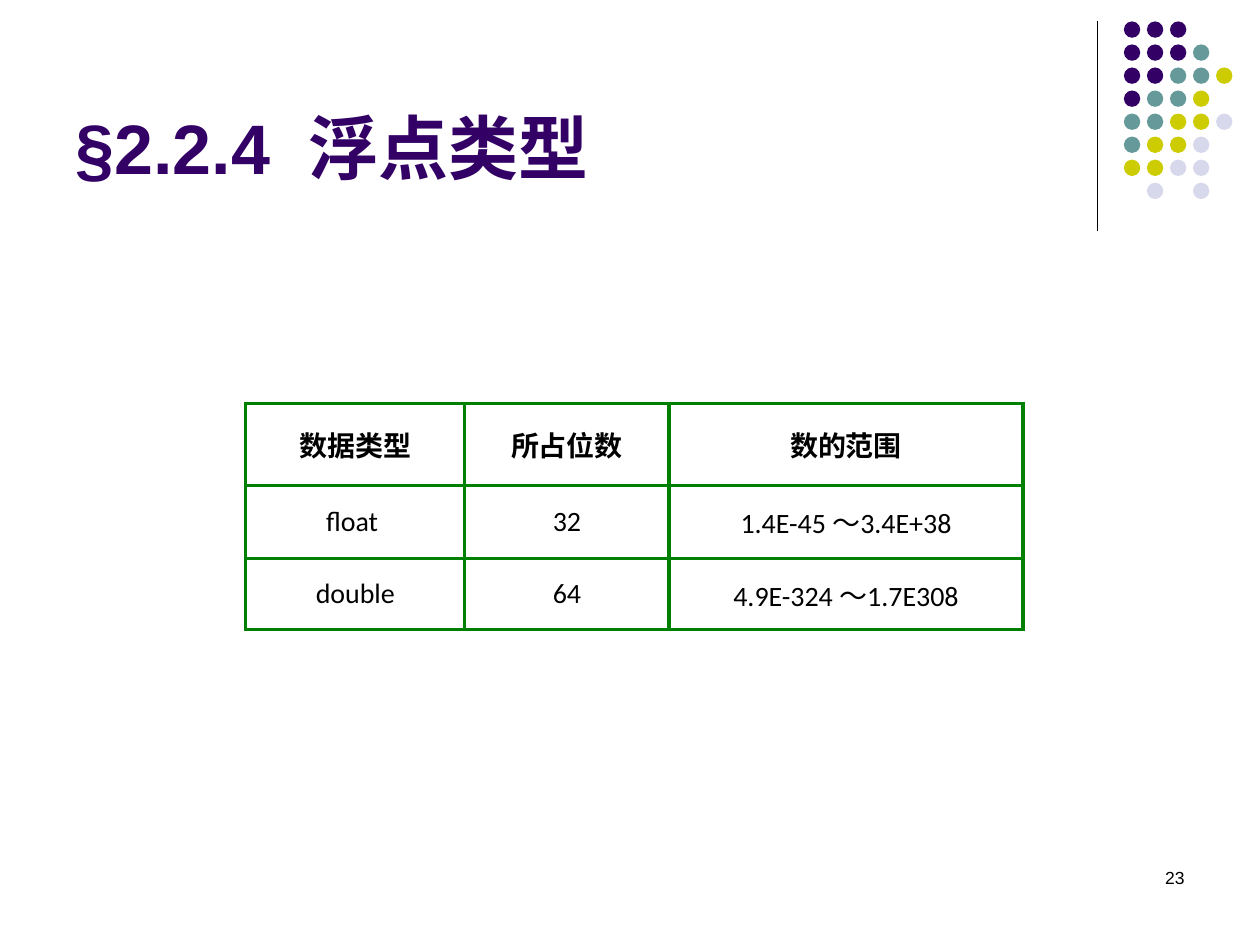
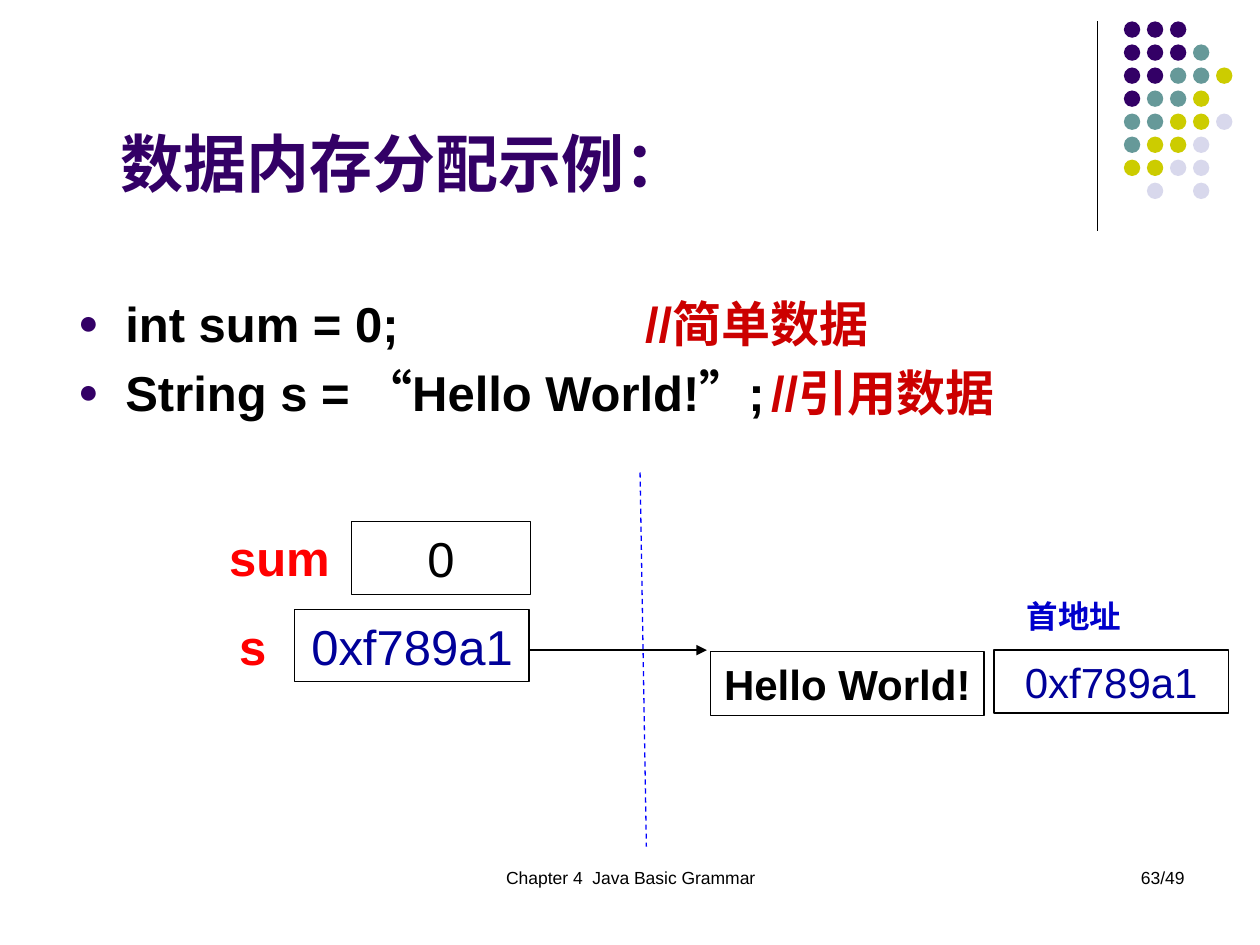
from lxml import etree
from pptx import Presentation
from pptx.dml.color import RGBColor
from pptx.enum import dml, shapes, text
from pptx.oxml import ns
from pptx.util import Inches, Pt

PURPLE = RGBColor(0x33, 0x00, 0x66)
TEAL = RGBColor(0x66, 0x99, 0x99)
OLIVE = RGBColor(0xCC, 0xCC, 0x00)
LAVENDER = RGBColor(0xD8, 0xD8, 0xEC)
BLACK = RGBColor(0x00, 0x00, 0x00)
GREEN = RGBColor(0x00, 0x80, 0x00)
COMMENT_RED = RGBColor(0xCC, 0x00, 0x00)
NAME_RED = RGBColor(0xFF, 0x00, 0x00)
ADDRESS_BLUE = RGBColor(0x00, 0x00, 0x99)
CAPTION_BLUE = RGBColor(0x00, 0x00, 0xCC)
DIVIDER_BLUE = RGBColor(0x00, 0x00, 0xFF)

LATIN, CJK = "Arial", "Noto Sans CJK SC"
LEFT, CENTER, RIGHT = text.PP_ALIGN.LEFT, text.PP_ALIGN.CENTER, text.PP_ALIGN.RIGHT

DOT_COLORS = {"P": PURPLE, "T": TEAL, "O": OLIVE, "L": LAVENDER}
DOT_ROWS = ["PPP", "PPPT", "PPTTO", "PTTO", "TTOOL", "TOOL", "OOLL", " L L"]
DOT_SIZE, DOT_PITCH = 0.13, 1.28 / 7


def sub(parent, tag, **attributes):
    return etree.SubElement(parent, ns.qn(tag), attributes)


def add_run(paragraph, words, size, color=BLACK, bold=False, latin=LATIN):
    run = paragraph.add_run()
    run.text = words
    font = run.font
    font.size, font.bold = Pt(size), bold
    font.color.rgb = color
    font.name = latin
    sub(font._element, "a:ea", typeface=CJK)


def place(item, left, top, width, height):
    item.left, item.top = Inches(left), Inches(top)
    item.width, item.height = Inches(width), Inches(height)


def add_line(slide, start, end, color=BLACK, dash=None, arrow=False):
    line = slide.shapes.add_connector(
        shapes.MSO_CONNECTOR.STRAIGHT, *map(Inches, start + end))
    line.line.color.rgb = color
    line.line.width = Pt(0.75)
    if dash:
        line.line.dash_style = dash
    if arrow:
        sub(line.line._get_or_add_ln(), "a:tailEnd", type="triangle")
    sub(line.element.spPr, "a:effectLst")
    return line


def decorate_master(prs, slide):
    """Draw the rule and dot pattern, then move them to the slide master."""
    rule = add_line(slide, (8.71, 0.17), (8.71, 1.83))
    dots = slide.shapes.add_group_shape()
    for row, colors in enumerate(DOT_ROWS):
        for column, key in enumerate(colors):
            if key == " ":
                continue
            dot = dots.shapes.add_shape(
                shapes.MSO_SHAPE.OVAL,
                Inches(8.92 + column * DOT_PITCH), Inches(0.17 + row * DOT_PITCH),
                Inches(DOT_SIZE), Inches(DOT_SIZE))
            dot.shadow.inherit = False
            dot.fill.solid()
            dot.fill.fore_color.rgb = DOT_COLORS[key]
            dot.line.fill.background()
    for part in (rule, dots):
        for properties in part.element.iter(ns.qn("p:cNvPr")):
            properties.set("id", str(int(properties.get("id")) + 100))
        prs.slide_master.shapes.element.append(part.element)


def set_title(slide, box, size, *parts):
    """Fill the title; each part is a text and its Latin font."""
    title = slide.shapes.title
    place(title, *box)
    frame = title.text_frame
    frame.auto_size = text.MSO_AUTO_SIZE.NONE
    frame.vertical_anchor = text.MSO_ANCHOR.BOTTOM
    paragraph = frame.paragraphs[0]
    paragraph.alignment = LEFT
    for words, latin in parts:
        add_run(paragraph, words, size, PURPLE, True, latin)


def add_label(slide, box, words, size, color=BLACK, bold=False, align=LEFT,
              wrap=True):
    label = slide.shapes.add_textbox(*map(Inches, box))
    frame = label.text_frame
    frame.word_wrap = wrap
    paragraph = frame.paragraphs[0]
    paragraph.alignment = align
    add_run(paragraph, words, size, color, bold)


def add_memory_cell(slide, box, words, size, color=BLACK, bold=False):
    cell = slide.shapes.add_shape(shapes.MSO_SHAPE.RECTANGLE, *map(Inches, box))
    cell.shadow.inherit = False
    cell.fill.background()
    cell.line.color.rgb = BLACK
    cell.line.width = Pt(0.75)
    frame = cell.text_frame
    frame.word_wrap = False
    frame.vertical_anchor = text.MSO_ANCHOR.MIDDLE
    paragraph = frame.paragraphs[0]
    paragraph.alignment = CENTER
    add_run(paragraph, words, size, color, bold)


def add_footer(slide, number, chapter=None):
    if chapter:
        add_label(slide, (3.42, 6.83, 3.17, 0.5), chapter, 10, align=CENTER)
    add_label(slide, (7.17, 6.83, 2.33, 0.5), number, 10, align=RIGHT)


def set_borders(cell, color, width):
    properties = cell._tc.get_or_add_tcPr()
    for index, side in enumerate(("a:lnL", "a:lnR", "a:lnT", "a:lnB")):
        border = sub(properties, side, w=str(Pt(width)))
        sub(sub(border, "a:solidFill"), "a:srgbClr", val=str(color))
        properties.insert(index, border)


def add_type_table(slide, rows, widths, heights):
    frame = slide.shapes.add_table(
        len(rows), len(widths), Inches(1.95), Inches(3.2),
        Inches(sum(widths)), Inches(sum(heights)))
    table = frame.table
    table.first_row = table.horz_banding = False
    for column, width in zip(table.columns, widths):
        column.width = Inches(width)
    for r, (row, height) in enumerate(zip(rows, heights)):
        table.rows[r].height = Inches(height)
        for c, words in enumerate(row):
            cell = table.cell(r, c)
            cell.fill.background()
            cell.vertical_anchor = text.MSO_ANCHOR.MIDDLE
            set_borders(cell, GREEN, 2)
            paragraph = cell.text_frame.paragraphs[0]
            paragraph.alignment = CENTER
            add_run(paragraph, words, 16, bold=r == 0, latin="Calibri")


def set_bullet(paragraph):
    properties = paragraph._p.get_or_add_pPr()
    sub(sub(properties, "a:buClr"), "a:srgbClr", val=str(PURPLE))
    sub(properties, "a:buSzPct", val="70000")
    sub(properties, "a:buFont", typeface=LATIN)
    sub(properties, "a:buChar", char="●")


def fill_code_list(body, lines):
    place(body, 0.52, 2.28, 8.92, 1.31)
    frame = body.text_frame
    frame.auto_size = text.MSO_AUTO_SIZE.NONE
    for index, (code, comment) in enumerate(lines):
        paragraph = frame.add_paragraph() if index else frame.paragraphs[0]
        set_bullet(paragraph)
        for words, latin in code:
            add_run(paragraph, words, 28, bold=True, latin=latin)
        add_run(paragraph, comment, 28, COMMENT_RED, True)


def build_float_slide(slide):
    set_title(slide, (0.5, 0.13, 8.25, 1.42), 40,
              ("§2.2.4  ", LATIN), ("浮点类型", CJK))
    add_footer(slide, "23")
    add_type_table(slide, [
        ("数据类型", "所占位数", "数的范围"),
        ("float ", "32", "1.4E-45 ～3.4E+38"),
        ("double", "64", "4.9E-324 ～1.7E308"),
    ], widths=(1.74, 1.62, 2.81), heights=(0.65, 0.58, 0.57))


def build_memory_slide(slide):
    add_footer(slide, "63/49", "Chapter 4  Java Basic Grammar")
    set_title(slide, (0.86, 0.39, 7.56, 1.25), 36, ("数据内存分配示例：", LATIN))
    fill_code_list(slide.placeholders[1], [
        ([("int sum = 0; \t\t\t\t", LATIN)], "//简单数据"),
        ([("String s = ", LATIN), ("“", CJK), ("Hello World!", LATIN),
          ("”", CJK), (";\t", LATIN)], "//引用数据"),
    ])
    add_label(slide, (1.72, 4.14, 1, 0.57), "sum", 28, NAME_RED, True, wrap=False)
    add_memory_cell(slide, (2.79, 4.14, 1.42, 0.58), "0", 28)
    add_label(slide, (1.8, 4.84, 0.42, 0.57), "s", 28, NAME_RED, True, wrap=False)
    add_memory_cell(slide, (2.34, 4.84, 1.86, 0.57), "0xf789a1", 28, ADDRESS_BLUE)
    add_memory_cell(slide, (5.64, 5.17, 2.17, 0.51), "Hello World!", 24, bold=True)
    add_line(slide, (4.19, 5.16), (5.61, 5.16), arrow=True)
    add_line(slide, (5.08, 3.75), (5.13, 6.72), DIVIDER_BLUE,
             dash=dml.MSO_LINE.DASH)
    add_memory_cell(slide, (7.89, 5.16, 1.86, 0.5), "0xf789a1", 24, ADDRESS_BLUE)
    add_label(slide, (8.05, 4.69, 1.41, 0.4), "首地址", 18, CAPTION_BLUE, True)


def main():
    prs = Presentation()
    prs.slide_width, prs.slide_height = Inches(10), Inches(7.5)
    title_only, title_and_body = prs.slide_layouts[5], prs.slide_layouts[1]
    float_slide = prs.slides.add_slide(title_only)
    decorate_master(prs, float_slide)
    build_float_slide(float_slide)
    build_memory_slide(prs.slides.add_slide(title_and_body))
    prs.save("out.pptx")


if __name__ == "__main__":
    main()
